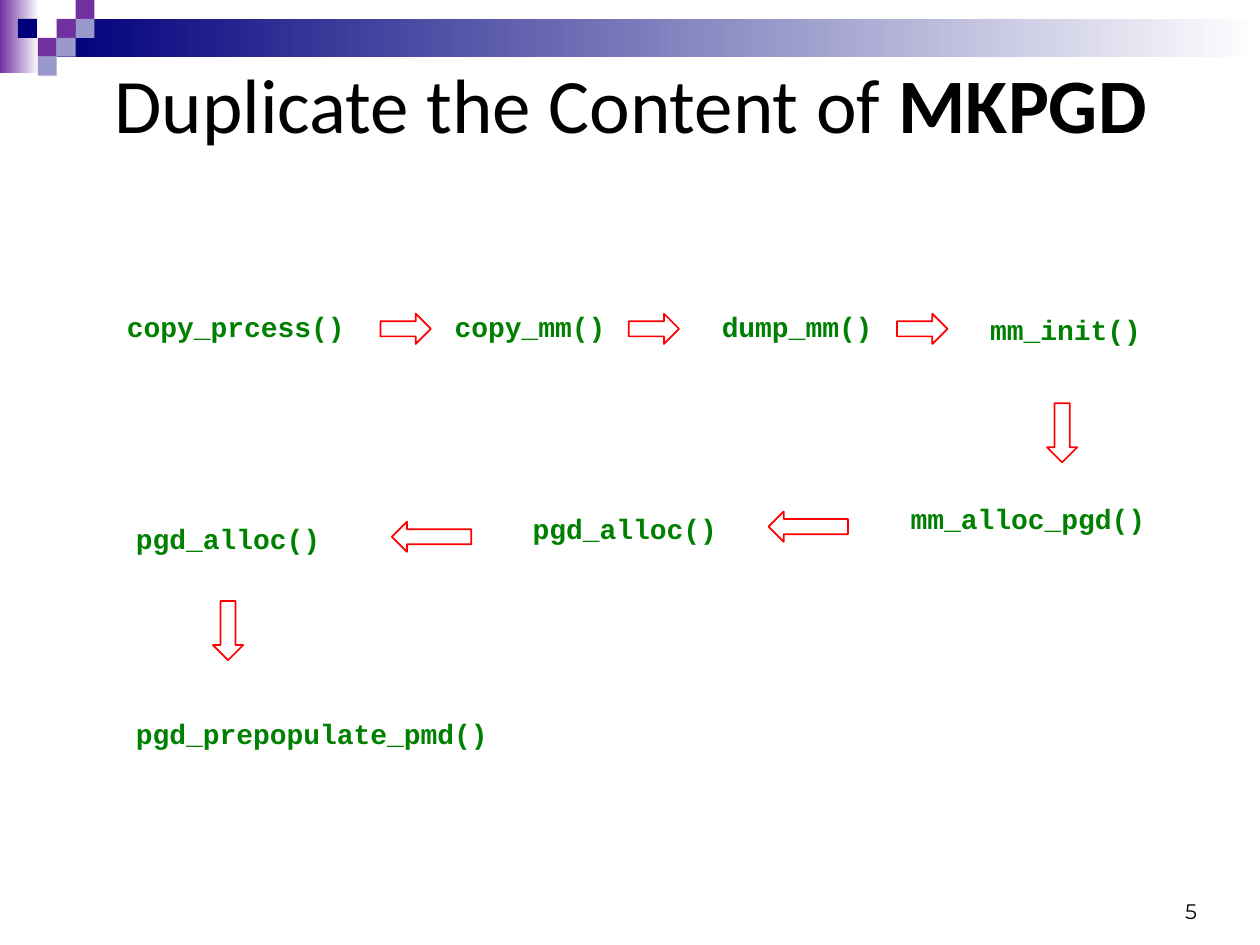
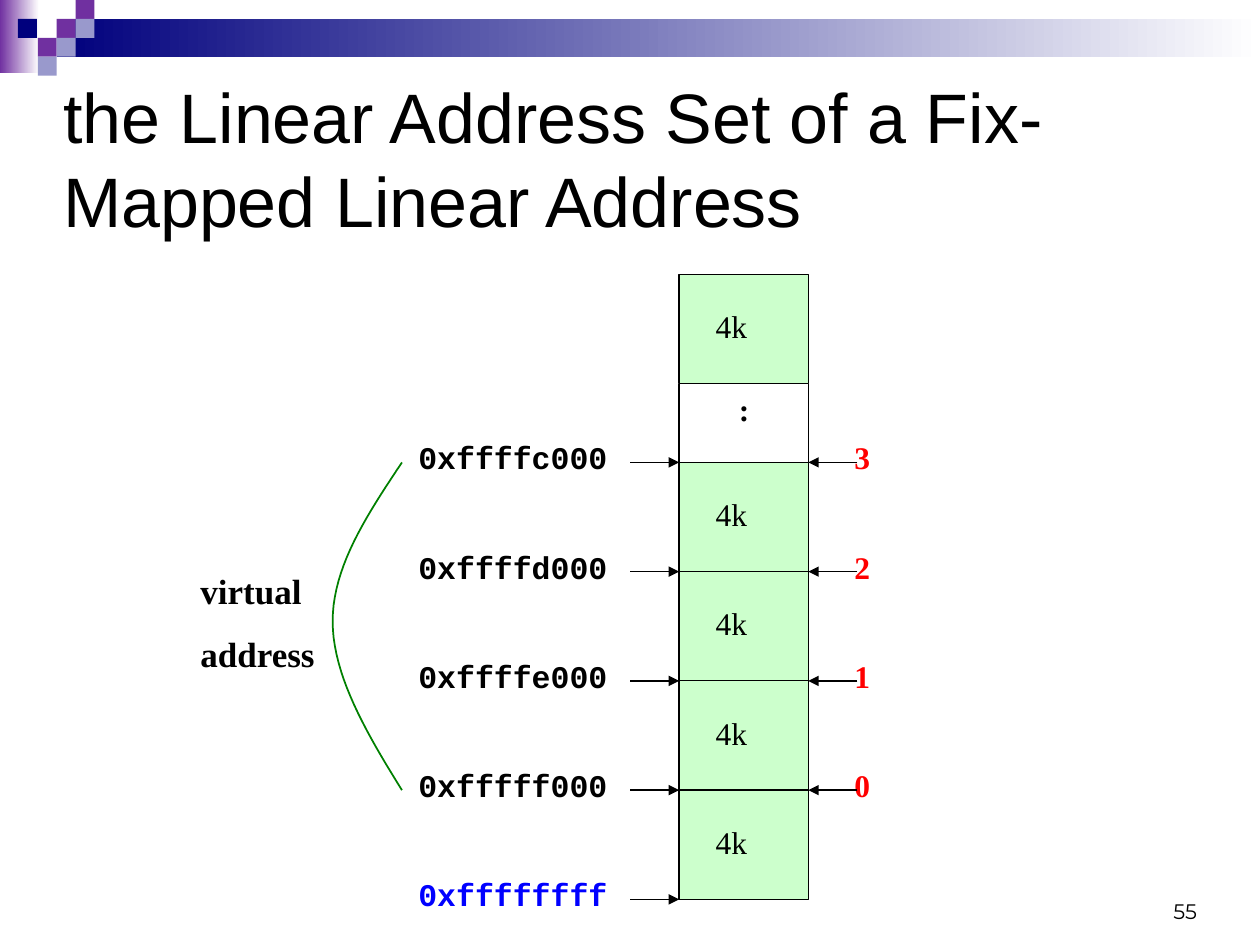
from dataclasses import dataclass

from pptx import Presentation
from pptx.dml.color import RGBColor
from pptx.enum.shapes import MSO_CONNECTOR, MSO_SHAPE
from pptx.enum.text import MSO_ANCHOR, MSO_AUTO_SIZE, PP_ALIGN
from pptx.oxml.ns import qn
from pptx.util import Inches, Pt
from lxml import etree

RECTANGLE = MSO_SHAPE.RECTANGLE
RIGHT_ARROW, LEFT_ARROW, DOWN_ARROW = (
    MSO_SHAPE.RIGHT_ARROW, MSO_SHAPE.LEFT_ARROW, MSO_SHAPE.DOWN_ARROW)
STRAIGHT = MSO_CONNECTOR.STRAIGHT
TOP, MIDDLE, BOTTOM = MSO_ANCHOR.TOP, MSO_ANCHOR.MIDDLE, MSO_ANCHOR.BOTTOM
LEFT, CENTER, RIGHT = PP_ALIGN.LEFT, PP_ALIGN.CENTER, PP_ALIGN.RIGHT
NO_AUTOFIT = MSO_AUTO_SIZE.NONE
TITLE_ONLY = 5

COLORS = {
    "white": "FFFFFF", "black": "000000", "purple": "7030A0", "navy": "00007D",
    "lavender": "9999CC", "green": "008000", "mint": "CCFFCC", "red": "FF0000",
    "blue": "0000FF",
}
SANS, SERIF, MONO = "Arial", "Times New Roman", "Courier New"

# The page is a grid of 100 columns and 75 rows of square cells.
WIDTH, HEIGHT = Inches(10), Inches(7.5)
CELL = WIDTH / 100
TILE = 1.5


@dataclass(frozen=True)
class Area:
    left: float
    top: float
    width: float
    height: float

    def lengths(self) -> tuple[int, ...]:
        return tuple(cells(v) for v in (self.left, self.top, self.width, self.height))


@dataclass(frozen=True)
class Style:
    font: str
    size: float
    color: str = "black"
    bold: bool = False
    align: PP_ALIGN = LEFT
    space_before: float = 0


@dataclass(frozen=True)
class Call:
    name: str
    left: float
    top: float
    width: float


@dataclass(frozen=True)
class Arrow:
    shape: MSO_SHAPE
    area: Area


@dataclass(frozen=True)
class Tile:
    column: float
    row: float
    color: str


TILES = (
    Tile(3, 1, "purple"), Tile(4, 0, "purple"), Tile(4, 1, "lavender"),
    Tile(2, 2, "purple"), Tile(0.95, 1, "navy"), Tile(3, 2, "lavender"),
    Tile(2, 3, "lavender"),
)

CALL_STYLE = Style(MONO, 16, "green", bold=True)
CALLS = (
    Call("copy_prcess()", 9.1, 24.1, 19.7),
    Call("copy_mm()", 35.1, 24.1, 14.2),
    Call("dump_mm()", 56.3, 24.1, 14.2),
    Call("mm_init()", 77.6, 24.3, 19.7),
    Call("mm_alloc_pgd()", 71.3, 39.3, 21.3),
    Call("pgd_alloc()", 41.3, 40.1, 19.7),
    Call("pgd_alloc()", 9.8, 40.9, 19.7),
    Call("pgd_prepopulate_pmd()", 9.8, 56.4, 31.5),
)
ARROWS = (
    *(Arrow(RIGHT_ARROW, Area(left, 24.9, 4, 2.4)) for left in (30.2, 49.9, 71.2)),
    *(Arrow(LEFT_ARROW, Area(left, top, 6.3, 2.4))
      for left, top in ((61, 40.6), (31.1, 41.4))),
    *(Arrow(DOWN_ARROW, Area(left, top, 2.4, 4.7))
      for left, top in ((83.1, 32), (16.9, 47.7))),
)

ADDRESSES = ("0xffffc000", "0xffffd000", "0xffffe000", "0xfffff000", "0xffffffff")
LAST = len(ADDRESSES) - 1
MEMORY_LEFT, MEMORY_WIDTH = 53.9, 10.25
MEMORY_RIGHT = MEMORY_LEFT + MEMORY_WIDTH
FIRST_EDGE, BLOCK_HEIGHT = 36.7, 8.67
TOP_BLOCK = 21.8
EDGES = [FIRST_EDGE + BLOCK_HEIGHT * index for index in range(len(ADDRESSES))]
POINTER = 3.9
LABEL_RISE = 2.4
INSET = 0.5


def cells(count: float) -> int:
    return round(count * CELL)


def rgb(name: str) -> RGBColor:
    return RGBColor.from_string(COLORS[name])


def add_span(para, text: str, style: Style, bold: bool | None = None) -> None:
    span = para.add_run()
    span.text = text
    span.font.name = style.font
    span.font.size = Pt(style.size)
    span.font.bold = style.bold if bold is None else bold
    span.font.color.rgb = rgb(style.color)


def set_frame(frame, anchor: MSO_ANCHOR, side: float, end: float) -> None:
    """Wrap the text and set its anchor and its side and end insets."""
    frame.word_wrap = True
    frame.auto_size = NO_AUTOFIT
    frame.vertical_anchor = anchor
    frame.margin_left = frame.margin_right = cells(side)
    frame.margin_top = frame.margin_bottom = cells(end)


def add_text(page, area: Area, lines: tuple[str, ...], style: Style,
             anchor: MSO_ANCHOR = TOP, side: float = INSET, end: float = INSET) -> None:
    frame = page.shapes.add_textbox(*area.lengths()).text_frame
    set_frame(frame, anchor, side, end)
    for index, line in enumerate(lines):
        para = frame.add_paragraph() if index else frame.paragraphs[0]
        para.alignment = style.align
        if index:
            para.space_before = Pt(style.space_before)
        add_span(para, line, style)


def add_box(page, shape: MSO_SHAPE, area: Area, fill: str,
            line: str | None = None, weight: float = 1) -> None:
    box = page.shapes.add_shape(shape, *area.lengths())
    box.shadow.inherit = False
    box.fill.solid()
    box.fill.fore_color.rgb = rgb(fill)
    if line is None:
        box.line.fill.background()
    else:
        box.line.color.rgb = rgb(line)
        box.line.width = Pt(weight)


def add_fade(page, area: Area, color: str) -> None:
    """Draw a band that fades to white from left to right."""
    band = page.shapes.add_shape(RECTANGLE, *area.lengths())
    band.shadow.inherit = False
    band.line.fill.background()
    band.fill.gradient()
    band.fill.gradient_angle = 0
    for stop, name in zip(band.fill.gradient_stops, (color, "white")):
        stop.color.rgb = rgb(name)


def add_line(page, start: tuple[float, float], end: tuple[float, float],
             arrowhead: bool = False) -> None:
    line = page.shapes.add_connector(
        STRAIGHT, *(cells(value) for value in (*start, *end)))
    line.line.color.rgb = rgb("black")
    line.line.width = Pt(0.75)
    properties = line._element.spPr
    if arrowhead:
        etree.SubElement(properties.find(qn("a:ln")), qn("a:tailEnd"), type="triangle")
    etree.SubElement(properties, qn("a:effectLst"))


def start_page(deck, number: int):
    """Add a title-only page with the shared header and its page number."""
    page = deck.slides.add_slide(deck.slide_layouts[TITLE_ONLY])
    add_fade(page, Area(0, 0, 3.1, 5.8), "purple")
    add_fade(page, Area(4.5, 1.5, 95.5, 3), "navy")
    for tile in TILES:
        add_box(page, RECTANGLE,
                Area(tile.column * TILE, tile.row * TILE, TILE, TILE), tile.color)
    add_text(page, Area(71.7, 71.3, 23.3, 2), (str(number),),
             Style("Montserrat", 12, align=RIGHT), BOTTOM, 0, 0)
    return page


def format_title(page, area: Area, anchor: MSO_ANCHOR, align: PP_ALIGN,
                 side: float, end: float):
    """Place the title and return its empty paragraph."""
    title = page.shapes.title
    title.left, title.top, title.width, title.height = area.lengths()
    set_frame(title.text_frame, anchor, side, end)
    para = title.text_frame.paragraphs[0]
    para.alignment = align
    return para


def bezier(points: tuple[tuple[float, float], ...], steps: int = 20):
    """Return points along a cubic curve, without its start."""
    curve = []
    for step in range(1, steps + 1):
        t = step / steps
        weights = ((1 - t) ** 3, 3 * t * (1 - t) ** 2, 3 * t ** 2 * (1 - t), t ** 3)
        curve.append(tuple(cells(sum(w * point[axis] for w, point in zip(weights, points)))
                           for axis in (0, 1)))
    return curve


def add_address_bracket(page) -> None:
    start, middle, end = (31.9, EDGES[0]), (26.4, 49.3), (31.9, EDGES[3])
    upper = (start, (29.1, 40.9), (26.4, 45), middle)
    lower = (middle, (26.4, 53.6), (29.1, 58.2), end)
    builder = page.shapes.build_freeform(cells(start[0]), cells(start[1]))
    builder.add_line_segments(bezier(upper) + bezier(lower), close=False)
    bracket = builder.convert_to_shape()
    bracket.shadow.inherit = False
    bracket.fill.background()
    bracket.line.color.rgb = rgb("green")
    bracket.line.width = Pt(1)


def build_call_chain(deck) -> None:
    page = start_page(deck, 5)
    para = format_title(page, Area(6.9, 4, 86.3, 14.5), TOP, CENTER, 1, 0.5)
    style = Style("Calibri", 44)
    add_span(para, "Duplicate the Content of ", style)
    add_span(para, "MKPGD", style, bold=True)
    for call in CALLS:
        add_text(page, Area(call.left, call.top, call.width, 3.7), (call.name,),
                 CALL_STYLE, side=1)
    for arrow in ARROWS:
        add_box(page, arrow.shape, arrow.area, "white", "red")


def build_memory_map(deck) -> None:
    page = start_page(deck, 55)
    para = format_title(page, Area(5, 5, 90, 15), MIDDLE, LEFT, 0, 0)
    add_span(para, "the Linear Address Set of a Fix-Mapped Linear Address", Style(SANS, 40))

    for top in (TOP_BLOCK, *EDGES[:LAST]):
        add_box(page, RECTANGLE, Area(MEMORY_LEFT, top, MEMORY_WIDTH, BLOCK_HEIGHT),
                "mint", "black", 0.75)
        add_text(page, Area(56.3, top + 2.1, 6.3, 4), ("4k",), Style(SERIF, 18))

    gap_top = TOP_BLOCK + BLOCK_HEIGHT
    for side in (MEMORY_LEFT, MEMORY_RIGHT):
        add_line(page, (side, gap_top), (side, FIRST_EDGE))
    add_text(page, Area(56.3, gap_top, 5.5, 4), (":",),
             Style(SERIF, 18, bold=True, align=CENTER))

    for index, (address, edge) in enumerate(zip(ADDRESSES, EDGES)):
        color = "blue" if index == LAST else "black"
        add_text(page, Area(32.7, edge - LABEL_RISE, 18.9, 4), (address,),
                 Style(MONO, 18, color, bold=True))
        add_line(page, (MEMORY_LEFT - POINTER, edge), (MEMORY_LEFT, edge), arrowhead=True)
        if index < LAST:
            add_text(page, Area(67.3, edge - LABEL_RISE, 3.1, 4), (str(LAST - 1 - index),),
                     Style(SERIF, 18, "red", bold=True))
            add_line(page, (MEMORY_RIGHT + POINTER, edge), (MEMORY_RIGHT, edge),
                     arrowhead=True)

    add_address_bracket(page)
    add_text(page, Area(15.4, 44.7, 11.8, 9.4), ("virtual", "address"),
             Style(SERIF, 20, bold=True, space_before=12))


def main() -> None:
    deck = Presentation()
    deck.slide_width, deck.slide_height = WIDTH, HEIGHT
    build_call_chain(deck)
    build_memory_map(deck)
    deck.save("out.pptx")


if __name__ == "__main__":
    main()
